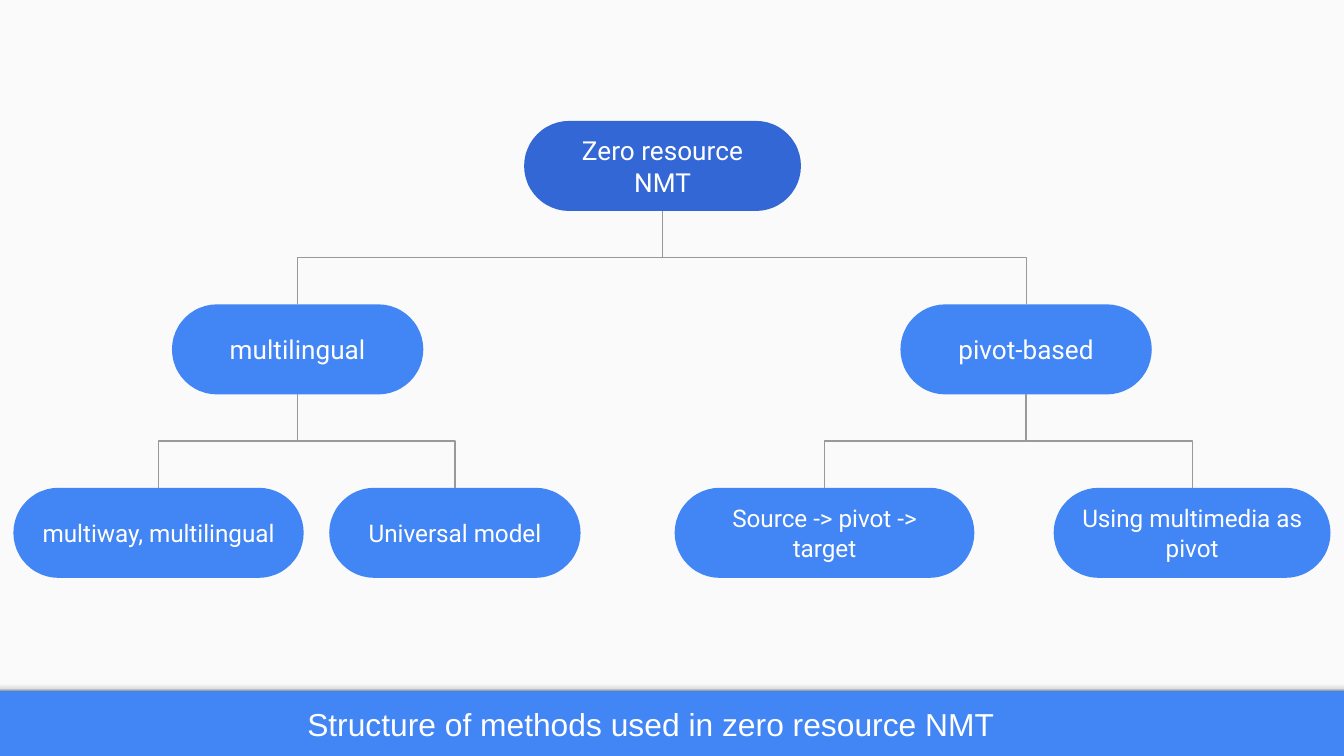
from dataclasses import dataclass

from lxml.etree import SubElement
from pptx import Presentation
from pptx.dml.color import RGBColor
from pptx.enum.shapes import MSO_CONNECTOR, MSO_SHAPE
from pptx.enum.text import MSO_ANCHOR, PP_ALIGN
from pptx.oxml import parse_xml
from pptx.oxml.ns import nsdecls, qn
from pptx.shapes.autoshape import Shape
from pptx.slide import Slide
from pptx.util import Emu, Inches, Pt

COLORS = {
    "blue": "4285F4",
    "dark blue": "3367D6",
    "panel": "FAFAFA",
    "line": "999999",
    "text": "FFFFFF",
}
SHADOW_STOPS = {0: "F9F9F9", 36: "F9F9F9", 80: "DEDEDE", 100: "999999"}

# Grid: 100 columns across a 16:9 slide, one row per tree level
SLIDE_WIDTH = Inches(10)
SLIDE_HEIGHT = Emu(SLIDE_WIDTH * 9 // 16)
COLUMN = SLIDE_WIDTH / 100
FIRST_ROW, LAST_ROW, NODE_HEIGHT = Inches(0.9), Inches(3.63), Inches(0.67)
ROW_PITCH = (LAST_ROW - FIRST_ROW) / 2
PANEL_HEIGHT, EDGE_HEIGHT = Inches(5.14), Inches(0.08)


@dataclass
class Node:
    text: str
    row: int
    column: float
    columns: float
    size: int = 14
    color: str = "blue"
    children: tuple["Node", ...] = ()


TREE = Node("Zero resource NMT", 0, 39, 20.6, color="dark blue", children=(
    Node("multilingual", 1, 12.8, 18.7, children=(
        Node("multiway, multilingual", 2, 1, 21.6, 13),
        Node("Universal model", 2, 24.5, 18.7, 13),
    )),
    Node("pivot-based", 1, 67, 18.7, children=(
        Node("Source -> pivot -> target", 2, 50.2, 22.3, 13),
        Node("Using multimedia as pivot", 2, 78.4, 20.6, 13),
    )),
))


def rgb(name: str) -> RGBColor:
    return RGBColor.from_string(COLORS[name])


def add_block(slide: Slide, kind: MSO_SHAPE, left: float, top: float,
              width: float, height: float, color: str) -> Shape:
    shape = slide.shapes.add_shape(kind, *map(Emu, map(round, (left, top, width, height))))
    shape.shadow.inherit = False
    shape.fill.solid()
    shape.fill.fore_color.rgb = rgb(color)
    shape.line.fill.background()
    return shape


def write_text(shape: Shape, text: str, font: str, size: int) -> None:
    frame = shape.text_frame
    frame.word_wrap = True
    frame.vertical_anchor = MSO_ANCHOR.MIDDLE
    frame.margin_left = frame.margin_right = Inches(0.1)
    frame.margin_top = frame.margin_bottom = Inches(0.1)
    paragraph = frame.paragraphs[0]
    paragraph.text = text
    paragraph.alignment = PP_ALIGN.CENTER
    paragraph.font.name = font
    paragraph.font.size = Pt(size)
    paragraph.font.color.rgb = rgb("text")


def add_branch(slide: Slide, parent: Shape, child: Shape) -> None:
    """Join the parent's bottom to the child's top, leaving vertically."""
    connector = slide.shapes.add_connector(MSO_CONNECTOR.ELBOW, 0, 0, 0, 0)
    connector.begin_connect(parent, 2)
    connector.end_connect(child, 0)
    start_x, end_x = (shape.left + shape.width // 2 for shape in (parent, child))
    start_y, end_y = parent.top + parent.height, child.top
    # The box is turned a quarter, so its width is the vertical drop
    drop, spread = end_y - start_y, abs(end_x - start_x)
    connector.left = Emu((start_x + end_x - drop) // 2)
    connector.top = Emu((start_y + end_y - spread) // 2)
    connector.width, connector.height = Emu(drop), Emu(spread)
    goes_right = end_x > start_x
    properties = connector._element.spPr
    properties.xfrm.set("rot", "16200000" if goes_right else "5400000")
    properties.xfrm.set("flipH", "1" if goes_right else "0")
    connector.line.color.rgb = rgb("line")
    connector.line.width = Pt(0.75)
    SubElement(properties, qn("a:effectLst"))


def add_tree(slide: Slide, node: Node) -> Shape:
    shape = add_block(slide, MSO_SHAPE.ROUNDED_RECTANGLE, node.column * COLUMN,
                      FIRST_ROW + node.row * ROW_PITCH,
                      node.columns * COLUMN, NODE_HEIGHT, node.color)
    shape.adjustments[0] = 0.5
    write_text(shape, node.text, "Roboto", node.size)
    for child in node.children:
        add_branch(slide, shape, add_tree(slide, child))
    return shape


def add_panel(slide: Slide) -> None:
    add_block(slide, MSO_SHAPE.RECTANGLE, 0, 0, SLIDE_WIDTH, PANEL_HEIGHT, "panel")
    edge = add_block(slide, MSO_SHAPE.RECTANGLE, 0, PANEL_HEIGHT - EDGE_HEIGHT,
                     SLIDE_WIDTH, EDGE_HEIGHT, "panel")
    stops = "".join(f'<a:gs pos="{position * 1000}"><a:srgbClr val="{color}"/></a:gs>'
                    for position, color in SHADOW_STOPS.items())
    properties = edge._element.spPr
    properties.replace(properties.find(qn("a:solidFill")), parse_xml(
        f'<a:gradFill {nsdecls("a")}><a:gsLst>{stops}</a:gsLst>'
        '<a:lin ang="5400000" scaled="0"/></a:gradFill>'))


def main() -> None:
    presentation = Presentation()
    presentation.slide_width, presentation.slide_height = SLIDE_WIDTH, SLIDE_HEIGHT
    slide = presentation.slides.add_slide(presentation.slide_layouts[6])
    slide.background.fill.solid()
    slide.background.fill.fore_color.rgb = rgb("blue")

    # Light panel with a shaded lower edge
    add_panel(slide)

    # Tree of methods
    add_tree(slide, TREE)

    # Caption in the footer band
    caption = slide.shapes.add_textbox(Emu(round(2.6 * COLUMN)), PANEL_HEIGHT,
                                       Emu(round(91.7 * COLUMN)),
                                       Emu(SLIDE_HEIGHT - PANEL_HEIGHT))
    write_text(caption, "Structure of methods used in zero resource NMT", "Arial", 17)

    presentation.save("out.pptx")


if __name__ == "__main__":
    main()
